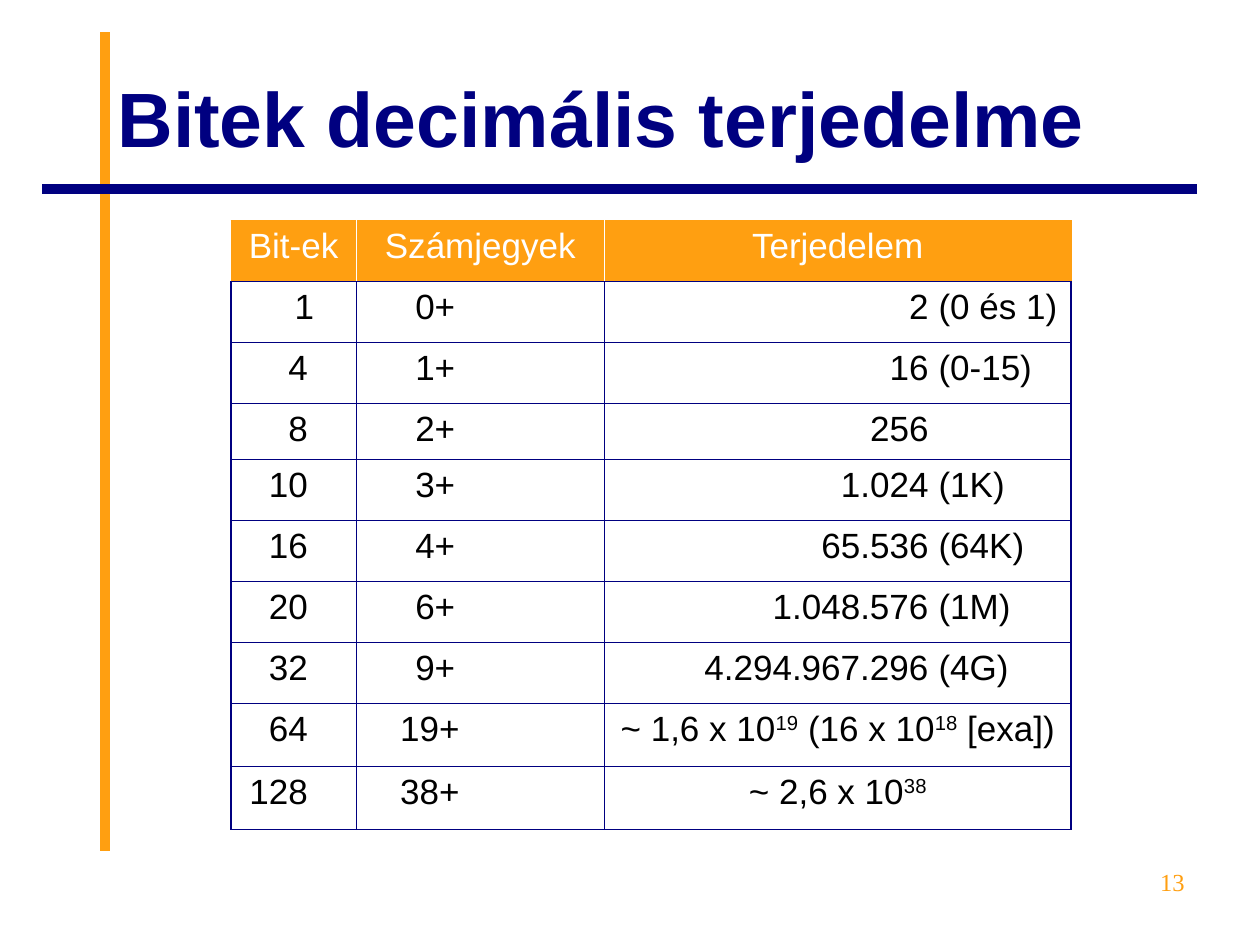
from pptx import Presentation
from pptx.dml.color import RGBColor
from pptx.enum.shapes import MSO_CONNECTOR
from pptx.enum.text import MSO_ANCHOR, PP_ALIGN
from pptx.oxml.ns import qn
from pptx.util import Pt
from lxml import etree

LINE = MSO_CONNECTOR.STRAIGHT
MIDDLE = MSO_ANCHOR.MIDDLE
LEFT, CENTER, RIGHT = PP_ALIGN.LEFT, PP_ALIGN.CENTER, PP_ALIGN.RIGHT
NAVY = RGBColor(0x00, 0x00, 0x80)
ORANGE = RGBColor(0xFF, 0x9F, 0x11)
WHITE = RGBColor(0xFF, 0xFF, 0xFF)
BLACK = RGBColor(0x00, 0x00, 0x00)

# Between ^ marks the text is raised
HEAD = ("Bit-ek", "Számjegyek", "Terjedelem")
ROWS = [
    ("1", "0+", "2\t(0 és 1)"),
    ("4", "1+", "16\t(0-15)"),
    ("8", "2+", "256"),
    ("10", "3+", "1.024\t(1K)"),
    ("16", "4+", "65.536\t(64K)"),
    ("20", "6+", "1.048.576\t(1M)"),
    ("32", "9+", "4.294.967.296\t(4G)"),
    ("64", "19+", "~ 1,6 x 10^19^ (16 x 10^18^ [exa])"),
    ("128", "38+", "~ 2,6 x 10^38"),
]


def style(para, face, size, color, align=LEFT, bold=False):
    para.alignment = align
    font = para.font
    font.name, font.size, font.bold = face, Pt(size), bold
    font.color.rgb = color


def edge(cell, side, color, width):
    line = etree.SubElement(cell._tc.get_or_add_tcPr(), qn("a:ln" + side),
                            w=str(Pt(width)))
    fill = etree.SubElement(line, qn("a:solidFill"))
    etree.SubElement(fill, qn("a:srgbClr"), val=str(color))


prs = Presentation()
prs.slide_width, prs.slide_height = Pt(720), Pt(540)
slide = prs.slides.add_slide(prs.slide_layouts[6])
shapes = slide.shapes

# Crossing rules
for x1, y1, x2, y2, color in ((60, 486, 60, 18, ORANGE),
                              (684, 108, 24, 108, NAVY)):
    rule = shapes.add_connector(LINE, Pt(x1), Pt(y1), Pt(x2), Pt(y2))
    rule.line.color.rgb = color
    rule.line.width = Pt(5.5)
    etree.SubElement(rule._element.spPr, qn("a:effectLst"))

# Title and page number
for text, x, y, w, h, face, size, color, align, bold in (
        ("Bitek decimális terjedelme", 60, 21.6, 624, 90,
         "Arial", 44, NAVY, LEFT, True),
        ("13", 516, 492, 168, 37.5,
         "Times New Roman", 14, ORANGE, RIGHT, False)):
    frame = shapes.add_textbox(Pt(x), Pt(y), Pt(w), Pt(h)).text_frame
    frame.word_wrap = True
    if bold:
        frame.vertical_anchor = MIDDLE
    para = frame.paragraphs[0]
    para.text = text
    style(para, face, size, color, align, bold)

# Table grid
table = shapes.add_table(len(ROWS) + 1, 3, Pt(132), Pt(126),
                         Pt(480), Pt(348)).table
table.first_row = table.horz_banding = False
for col, width in zip(table.columns, (71.5, 142, 266.5)):
    col.width = Pt(width)
for row, height in zip(table.rows, [34.8] * 3 + [32.4] + [34.8] * 4 + [36] * 2):
    row.height = Pt(height)

# Table cells
for i, texts in enumerate([HEAD] + ROWS):
    for j, text in enumerate(texts):
        cell = table.cell(i, j)
        head = i == 0
        mid = head or "~" in text
        para = cell.text_frame.paragraphs[0]

        # Borders come before the fill
        for side in "LRTB":
            outer = side == "T" or (side, j) in (("L", 0), ("R", 2))
            if head and outer:
                edge(cell, side, ORANGE, 0.45)
            elif head and side != "B":
                edge(cell, side, WHITE, 0.75)
            else:
                edge(cell, side, NAVY, 0.75)
        if head:
            cell.fill.solid()
            cell.fill.fore_color.rgb = ORANGE
        else:
            cell.fill.background()

        # Tab stops line up the digits
        if not mid:
            stops = (
                [(40.3 if i == 1 else 36.7, "r")],
                [(18 if len(text) > 2 else 26.6, "l")],
                [(178, "r"), (183.6, "l")],
            )[j]
            tabs = etree.SubElement(para._p.get_or_add_pPr(), qn("a:tabLst"))
            for pos, kind in stops:
                etree.SubElement(tabs, qn("a:tab"), pos=str(Pt(pos)), algn=kind)
            text = "\t" + text
        for k, part in enumerate(text.split("^")):
            run = para.add_run()
            run.text = part
            if k % 2:
                run._r.get_or_add_rPr().set("baseline", "30000")
        style(para, "Arial", 20, WHITE if head else BLACK,
              CENTER if mid else LEFT)

prs.save("out.pptx")
